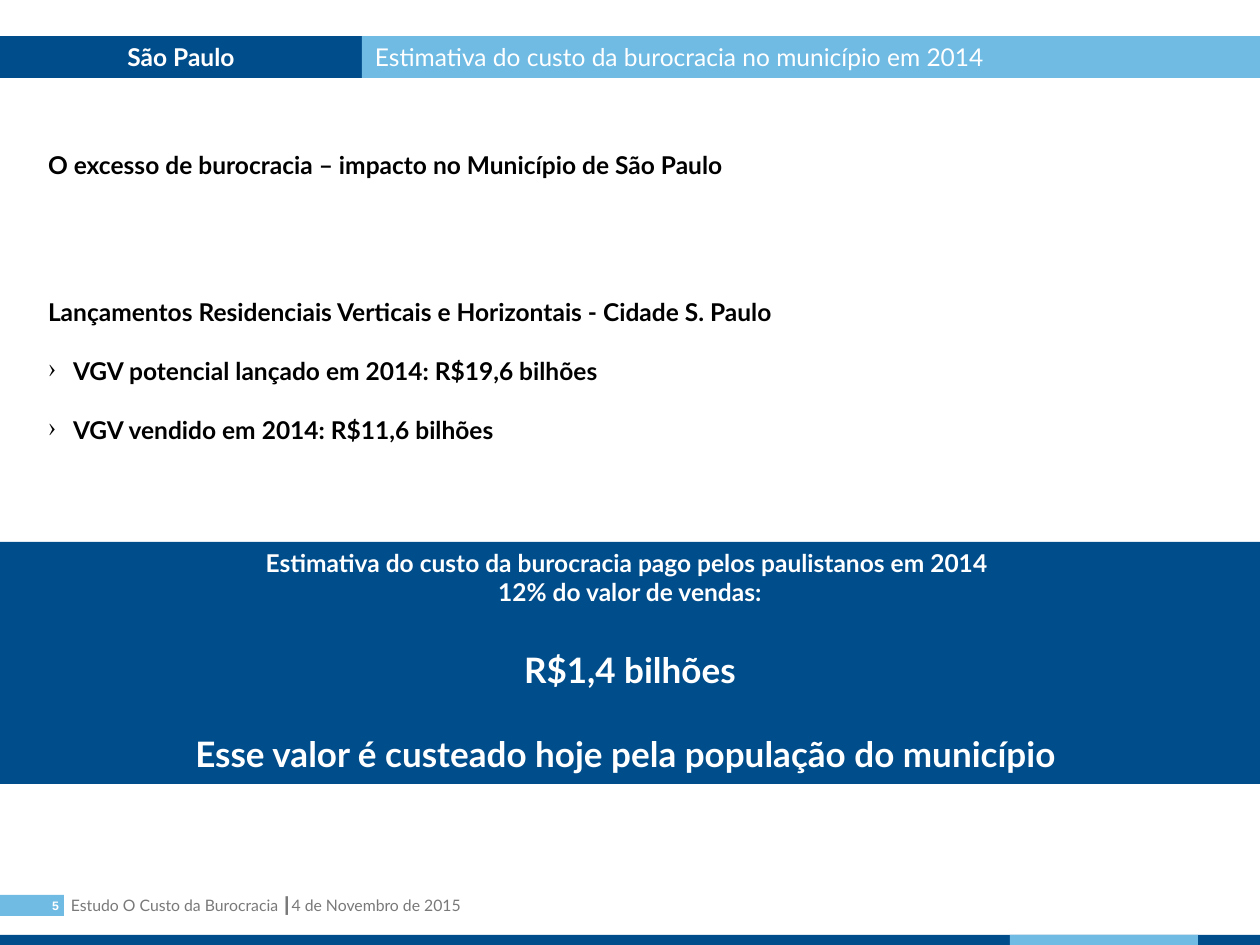
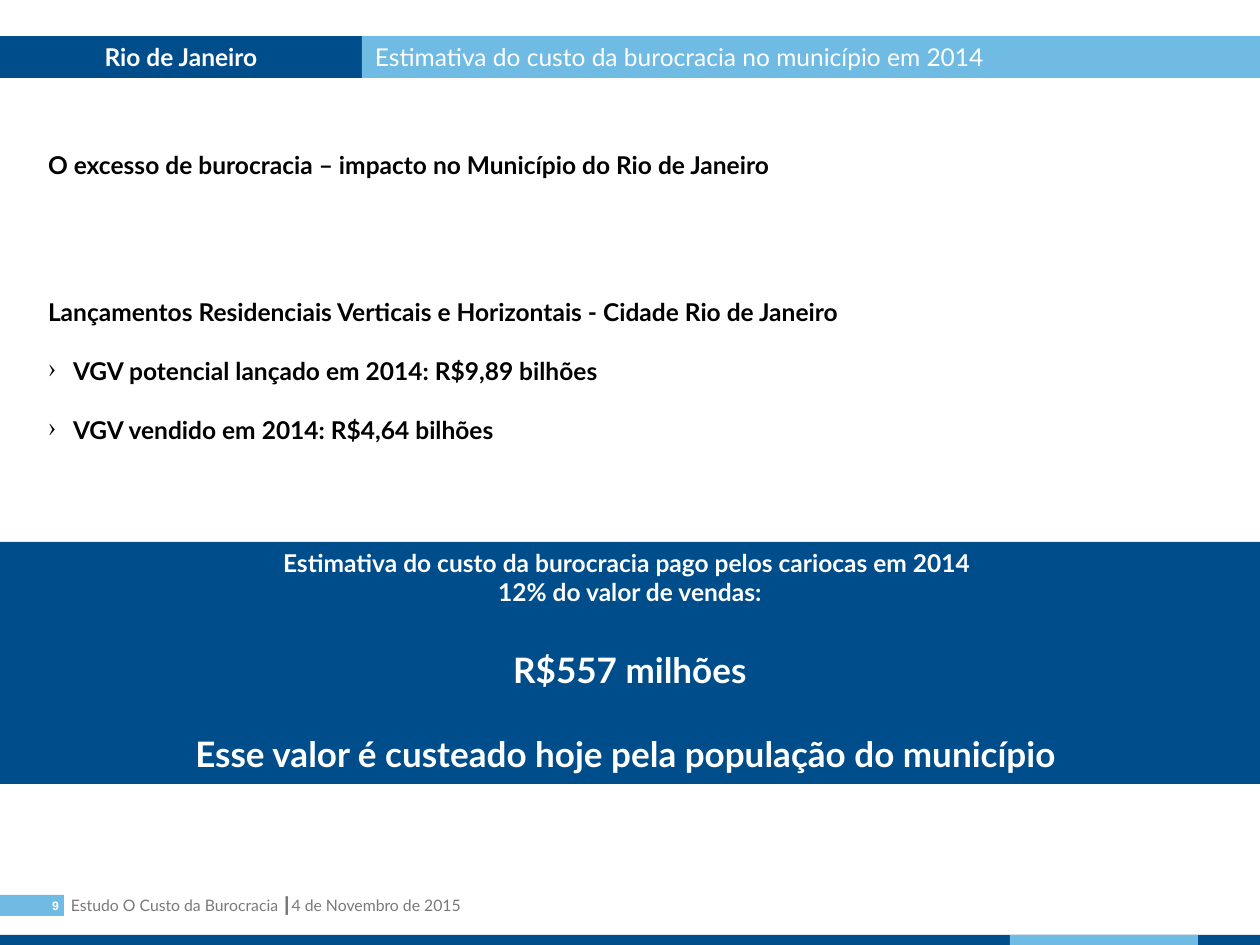
from lxml import etree
from pptx import Presentation
from pptx.dml.color import RGBColor
from pptx.enum.shapes import MSO_SHAPE as SHAPE
from pptx.enum.text import MSO_ANCHOR as ANCHOR, PP_ALIGN as ALIGN
from pptx.oxml.ns import qn
from pptx.util import Pt

# Scale, colours and fonts
EMU_PER_PX = 914400 / 126
W, H = 1260, 945
NAVY = RGBColor(0x00, 0x4D, 0x8C)
SKY = RGBColor(0x6F, 0xBB, 0xE4)
GREY = RGBColor(0x79, 0x79, 0x79)
BLACK = RGBColor(0, 0, 0)
WHITE = RGBColor(0xFF, 0xFF, 0xFF)
WIDE_INS = (13, 6, 13, 6)
TIGHT_INS = (5, 6, 5, 6)
LINE = 1.2  # line height of the text, relative to its size


def px(n):
    return round(n * EMU_PER_PX)


class Deck:
    def __init__(self):
        self.prs = Presentation()
        self.prs.slide_width, self.prs.slide_height = px(W), px(H)
        self.s = None

    def new_slide(self):
        self.s = self.prs.slides.add_slide(self.prs.slide_layouts[6])

    def band(self, x, y, w, h, fill):
        sp = self.s.shapes.add_shape(SHAPE.RECTANGLE, px(x), px(y), px(w), px(h))
        sp.shadow.inherit = False
        sp.fill.solid()
        sp.fill.fore_color.rgb = fill
        sp.line.fill.background()
        return self.frame(sp)

    def box(self, x, y, w, h):
        return self.frame(self.s.shapes.add_textbox(px(x), px(y), px(w), px(h)))

    def frame(self, sp, ins=WIDE_INS, anchor=ANCHOR.TOP):
        tf = sp.text_frame
        tf.word_wrap = True
        self.fit(tf, ins, anchor)
        return tf

    def fit(self, tf, ins, anchor=ANCHOR.TOP):
        tf.margin_left, tf.margin_top, tf.margin_right, tf.margin_bottom = map(px, ins)
        tf.vertical_anchor = anchor

    def para(self, tf, text, size=14, color=WHITE, bold=False, align=ALIGN.LEFT,
             font="Lato", before=0, bullet=False):
        p = tf.paragraphs[0]
        if p.runs:
            p = tf.add_paragraph()
        if bullet:
            self.bullet(p)
        p.alignment = align
        if before:
            p.space_before = Pt(before)
        r = p.add_run()
        r.text = text
        r.font.name, r.font.size, r.font.bold = font, Pt(size), bold
        r.font.color.rgb = color

    def bullet(self, p):
        pPr = p._p.get_or_add_pPr()
        pPr.set("marL", str(px(25)))
        pPr.set("indent", str(-px(25)))
        clr = etree.SubElement(pPr, qn("a:buClr"))
        etree.SubElement(clr, qn("a:srgbClr")).set("val", str(BLACK))
        etree.SubElement(pPr, qn("a:buChar")).set("char", "›")

    def footer(self, number):
        tf = self.box(58, 890, 920, 31)
        self.para(tf, "Estudo O Custo da Burocracia ┃4 de Novembro de 2015", 9, GREY)
        tf = self.band(0, 895, 64, 21, SKY)
        self.fit(tf, (0, 0, 5, 0), ANCHOR.MIDDLE)
        self.para(tf, number, 7, bold=True, align=ALIGN.RIGHT, font="Arial")
        self.band(0, 935, W, 10, NAVY)
        self.band(1010, 935, 188, 10, SKY)

    def title(self, city):
        tf = self.band(0, 36, 362, 42, NAVY)
        self.fit(tf, TIGHT_INS)
        self.para(tf, city, bold=True, align=ALIGN.CENTER)
        tf = self.band(362, 36, W - 362, 42, SKY)
        self.para(tf, "Estimativa do custo da burocracia no município em 2014")

    def launches(self, place, city, launched, sold):
        tf = self.box(35, 144, 1191, 339)
        gap = 14 * LINE
        for text, before, bullet in (
            (f"O excesso de burocracia – impacto no Município {place}", 0, False),
            (f"Lançamentos Residenciais Verticais e Horizontais - Cidade {city}",
             4 * gap, False),
            (f"VGV potencial lançado em 2014: R${launched} bilhões", gap, True),
            (f"VGV vendido em 2014: R${sold} bilhões", gap, True),
        ):
            self.para(tf, text, color=BLACK, bold=True, before=before, bullet=bullet)

    def cost(self, people, amount):
        tf = self.band(0, 542, W, 242, NAVY)
        self.fit(tf, TIGHT_INS)
        gap = 20 * LINE
        for text, size, before in (
            (f"Estimativa do custo da burocracia pago pelos {people} em 2014 ", 14, 0),
            ("12% do valor de vendas:", 14, 0),
            (amount, 20, gap),
            ("Esse valor é custeado hoje pela população do município ", 20, gap),
        ):
            self.para(tf, text, size, bold=True, align=ALIGN.CENTER, before=before)


# number, title, place, city, launched, sold, people, cost
CITIES = (
    ("5", "São Paulo", "de São Paulo", "S. Paulo", "19,6", "11,6",
     "paulistanos", "R$1,4 bilhões"),
    ("9", "Rio de Janeiro", "do Rio de Janeiro", "Rio de Janeiro", "9,89", "4,64",
     "cariocas", "R$557 milhões"),
)


def main():
    deck = Deck()
    for number, title, place, city, launched, sold, people, amount in CITIES:
        deck.new_slide()
        deck.footer(number)
        deck.title(title)
        deck.launches(place, city, launched, sold)
        deck.cost(people, amount)
    deck.prs.save("out.pptx")


if __name__ == "__main__":
    main()
